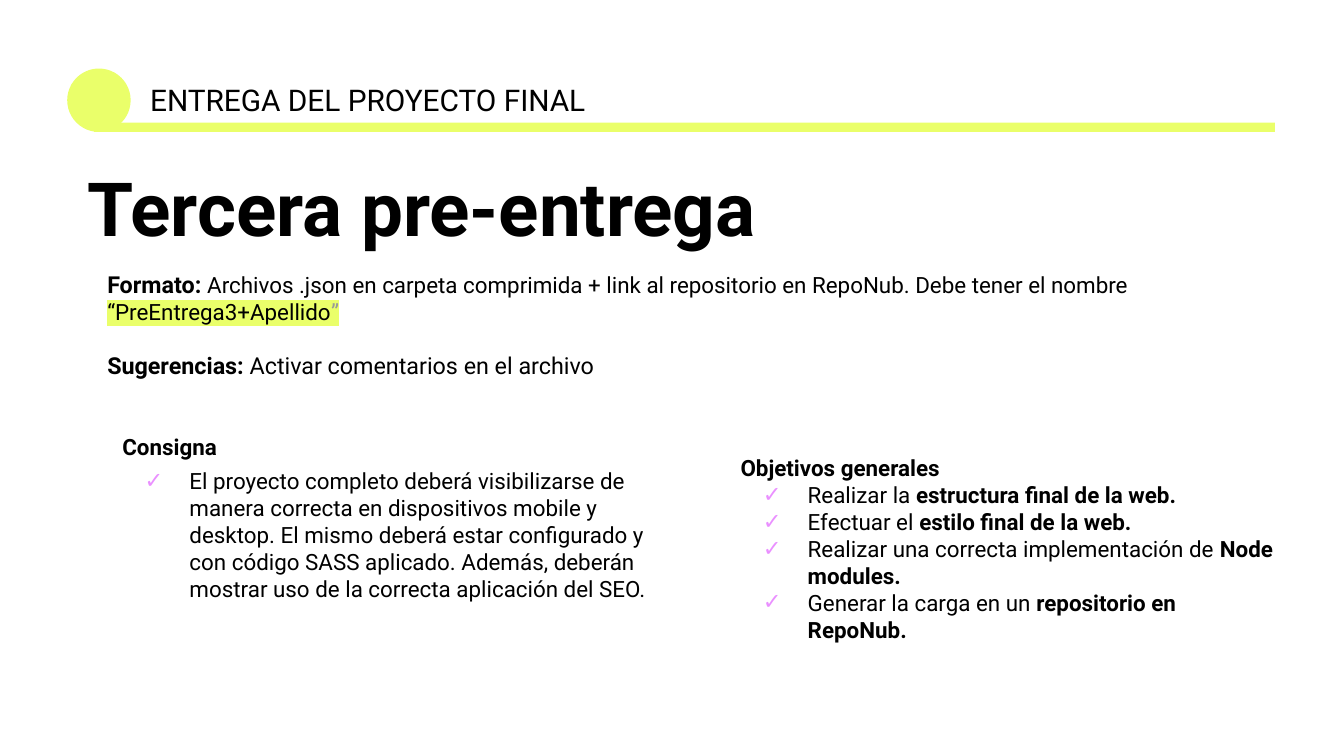
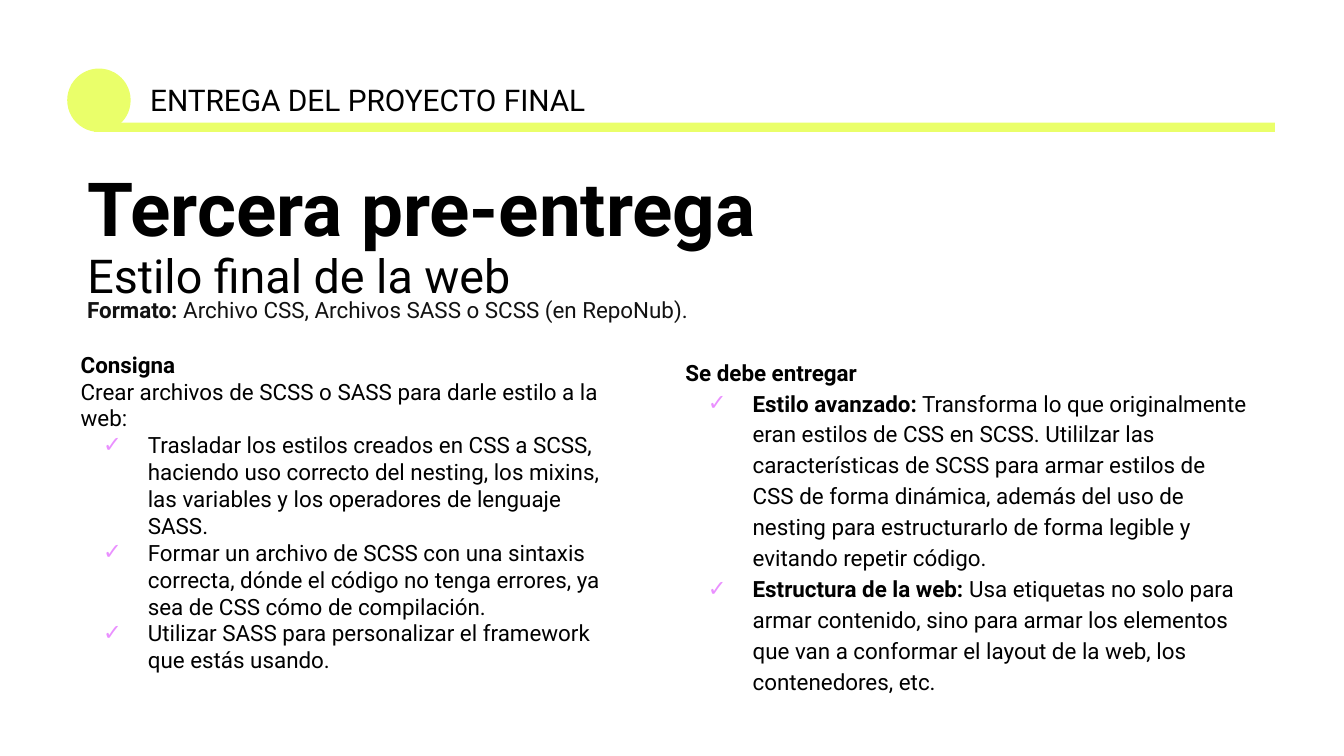
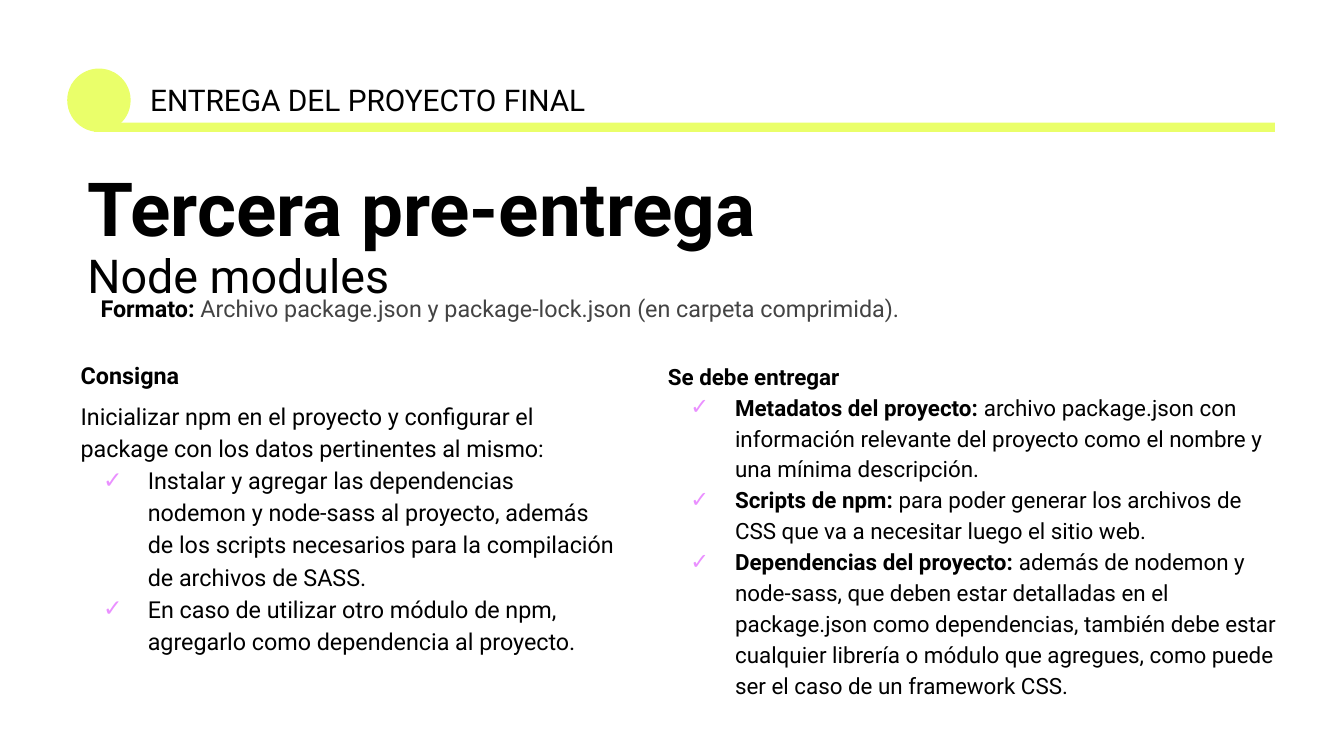
from dataclasses import dataclass
from typing import Optional

from lxml import etree
from pptx import Presentation
from pptx.dml.color import RGBColor
from pptx.enum import shapes, text
from pptx.oxml import ns
from pptx.util import Pt

LIME = RGBColor(0xEA, 0xFF, 0x6A)
PINK = RGBColor(0xEA, 0x90, 0xFF)
BLACK = RGBColor(0, 0, 0)
INK = RGBColor(0x12, 0x12, 0x12)
DARK_GRAY = RGBColor(0x43, 0x43, 0x43)
LIGHT_GRAY = RGBColor(0x99, 0x99, 0x99)

FONT = "Roboto"
INSET = Pt(7.2)
BULLET_INDENT = Pt(36)
BULLET_HANG = Pt(24)

DOT_TOP, DOT_SIZE = 36.7, 34
BAR_HEIGHT = 5
TWO_CONTENT_LAYOUT = 3
TITLE_TEXT = "Tercera pre-entrega"
HEADER_TEXT = "ENTREGA DEL PROYECTO FINAL"


@dataclass(frozen=True)
class Box:
    left: float
    top: float
    width: float
    height: float

    def lengths(self) -> tuple:
        return Pt(self.left), Pt(self.top), Pt(self.width), Pt(self.height)


@dataclass(frozen=True)
class Span:
    words: str
    bold: Optional[bool] = None
    size: Optional[float] = None
    color: Optional[RGBColor] = None
    highlight: Optional[RGBColor] = None


@dataclass(frozen=True)
class Line:
    spans: tuple[Span, ...]
    size: float = 12
    bold: bool = False
    color: RGBColor = BLACK
    bullet: bool = False
    spacing: float = 1
    before: float = 0


@dataclass(frozen=True)
class Block:
    box: Box
    lines: tuple[Line, ...]


@dataclass(frozen=True)
class Delivery:
    title_height: float
    subtitle: str
    details: Block
    left_list: Block
    right_list: Block


def plain(words: str, **style) -> Line:
    return Line((Span(words),), **style)


def heading(words: str, size: float = 12) -> Line:
    return plain(words, size=size, bold=True)


def check(words: str, **style) -> Line:
    return plain(words, bullet=True, **style)


def check_with_bold_end(start: str, end: str) -> Line:
    return Line((Span(start), Span(end, bold=True)), bullet=True)


def check_with_bold_start(start: str, end: str) -> Line:
    return Line((Span(start, bold=True), Span(end)), bullet=True, spacing=1.15)


def labelled(label: str, words: str, **style) -> Line:
    return Line((Span(label, bold=True), Span(words)), **style)


def add_element(parent, tag: str, **attributes: str):
    return etree.SubElement(parent, ns.qn(tag), attributes)


def set_bullet(paragraph, bullet: bool) -> None:
    properties = paragraph._p.get_or_add_pPr()
    properties.set("marL", str(BULLET_INDENT if bullet else 0))
    properties.set("indent", str(-BULLET_HANG if bullet else 0))
    if bullet:
        color = add_element(properties, "a:buClr")
        add_element(color, "a:srgbClr", val=str(PINK))
        add_element(properties, "a:buFont", typeface=FONT)
        add_element(properties, "a:buChar", char="✓")
    else:
        add_element(properties, "a:buNone")


def write_span(paragraph, span: Span) -> None:
    run = paragraph.add_run()
    run.text = span.words
    if span.bold is not None:
        run.font.bold = span.bold
    if span.size is not None:
        run.font.size = Pt(span.size)
    if span.color is not None:
        run.font.color.rgb = span.color
    if span.highlight is not None:
        highlight = add_element(run.font._element, "a:highlight")
        add_element(highlight, "a:srgbClr", val=str(span.highlight))


def write_lines(shape, box: Box, lines: tuple[Line, ...]) -> None:
    shape.left, shape.top, shape.width, shape.height = box.lengths()
    frame = shape.text_frame
    frame.word_wrap = True
    frame.auto_size = text.MSO_AUTO_SIZE.NONE
    frame.vertical_anchor = text.MSO_ANCHOR.TOP
    frame.margin_left = frame.margin_top = INSET
    frame.margin_right = frame.margin_bottom = INSET
    for index, line in enumerate(lines):
        paragraph = frame.add_paragraph() if index else frame.paragraphs[0]
        set_bullet(paragraph, line.bullet)
        paragraph.alignment = text.PP_ALIGN.LEFT
        paragraph.line_spacing = line.spacing
        paragraph.space_before = Pt(line.before)
        paragraph.font.name = FONT
        paragraph.font.size = Pt(line.size)
        paragraph.font.bold = line.bold
        paragraph.font.color.rgb = line.color
        for span in line.spans:
            write_span(paragraph, span)


def add_text(slide, block: Block) -> None:
    write_lines(slide.shapes.add_textbox(*block.box.lengths()), block.box, block.lines)


def add_lime_shape(slide, kind: shapes.MSO_SHAPE, box: Box) -> None:
    shape = slide.shapes.add_shape(kind, *box.lengths())
    shape.shadow.inherit = False
    shape.fill.solid()
    shape.fill.fore_color.rgb = LIME
    shape.line.fill.background()


def add_header(slide) -> None:
    bar_top = DOT_TOP + DOT_SIZE - BAR_HEIGHT
    add_lime_shape(slide, shapes.MSO_SHAPE.OVAL, Box(36, DOT_TOP, DOT_SIZE, DOT_SIZE))
    add_lime_shape(slide, shapes.MSO_SHAPE.RECTANGLE, Box(50.4, bar_top, 632.6, BAR_HEIGHT))
    add_text(slide, Block(Box(73.4, DOT_TOP, 252, DOT_SIZE), (plain(HEADER_TEXT, size=16),)))


def add_delivery(presentation, delivery: Delivery) -> None:
    slide = presentation.slides.add_slide(presentation.slide_layouts[TWO_CONTENT_LAYOUT])
    add_header(slide)
    title_lines = [plain(TITLE_TEXT, size=40, bold=True, spacing=0.9)]
    if delivery.subtitle:
        title_lines.append(plain(delivery.subtitle, size=25, spacing=0.9))
    title_box = Box(39.6, 85, 575, delivery.title_height)
    write_lines(slide.shapes.title, title_box, tuple(title_lines))
    for index, block in enumerate((delivery.left_list, delivery.right_list), start=1):
        write_lines(slide.placeholders[index], block.box, block.lines)
    add_text(slide, delivery.details)


DELIVERIES = (
    Delivery(
        title_height=58,
        subtitle="",
        details=Block(Box(50.4, 137.5, 620, 74), (
            Line((
                Span("Formato: ", bold=True, size=12.5),
                Span("Archivos .json en carpeta comprimida + link al repositorio en RepoNub. "
                     "Debe tener el nombre "),
                Span("“PreEntrega3+Apellido", highlight=LIME),
                Span("”", color=LIGHT_GRAY, highlight=LIME),
            )),
            labelled("Sugerencias: ", "Activar comentarios en el archivo", size=12.5, before=14),
        )),
        left_list=Block(Box(58.3, 224.6, 301.7, 153), (
            heading("Consigna"),
            check("El proyecto completo deberá visibilizarse de manera correcta en dispositivos "
                  "mobile y desktop. El mismo deberá estar configurado y con código SASS aplicado. "
                  "Además, deberán mostrar uso de la correcta aplicación del SEO.", before=4.2),
        )),
        right_list=Block(Box(389.5, 236.2, 301.7, 132), (
            heading("Objetivos generales"),
            check_with_bold_end("Realizar la ", "estructura final de la web."),
            check_with_bold_end("Efectuar el ", "estilo final de la web."),
            check_with_bold_end("Realizar una correcta implementación de ", "Node modules."),
            check_with_bold_end("Generar la carga en un ", "repositorio en RepoNub."),
        )),
    ),
    Delivery(
        title_height=86,
        subtitle="Estilo final de la web",
        details=Block(Box(39.6, 151.2, 368, 29), (
            labelled("Formato: ", "Archivo CSS, Archivos SASS o SCSS (en RepoNub).", color=INK),
        )),
        left_list=Block(Box(36, 180.7, 301.7, 189), (
            heading("Consigna"),
            plain("Crear archivos de SCSS o SASS para darle estilo a la web:"),
            check("Trasladar los estilos creados en CSS a SCSS, haciendo uso correcto del nesting, "
                  "los mixins, las variables y los operadores de lenguaje SASS."),
            check("Formar un archivo de SCSS con una sintaxis correcta, dónde el código no tenga "
                  "errores, ya sea de CSS cómo de compilación."),
            check("Utilizar SASS para personalizar el framework que estás usando."),
        )),
        right_list=Block(Box(360, 185, 316.8, 194), (
            heading("Se debe entregar"),
            check_with_bold_start(
                "Estilo avanzado:",
                " Transforma lo que originalmente eran estilos de CSS en SCSS. Utililzar las "
                "características de SCSS para armar estilos de CSS de forma dinámica, además del "
                "uso de nesting para estructurarlo de forma legible y evitando repetir código."),
            check_with_bold_start(
                "Estructura de la web:",
                " Usa etiquetas no solo para armar contenido, sino para armar los elementos que "
                "van a conformar el layout de la web, los contenedores, etc."),
        )),
    ),
    Delivery(
        title_height=86,
        subtitle="Node modules",
        details=Block(Box(46.8, 150.5, 524, 29.5), (
            Line((
                Span("Formato: ", bold=True),
                Span("Archivo package.json y package-lock.json (en carpeta comprimida).",
                     color=DARK_GRAY),
            ), size=12.5),
        )),
        left_list=Block(Box(36, 186.5, 301.7, 171), (
            heading("Consigna", size=12.5),
            plain("Inicializar npm en el proyecto y configurar el package con los datos "
                  "pertinentes al mismo:", size=12.5, spacing=1.15, before=4.4),
            check("Instalar y agregar las dependencias nodemon y node-sass al proyecto, además "
                  "de los scripts necesarios para la compilación de archivos de SASS.",
                  size=12.5, spacing=1.15),
            check("En caso de utilizar otro módulo de npm, agregarlo como dependencia al "
                  "proyecto.", size=12.5, spacing=1.15),
        )),
        right_list=Block(Box(350.6, 187.2, 347, 212), (
            heading("Se debe entregar"),
            check_with_bold_start(
                "Metadatos del proyecto:",
                " archivo package.json con información relevante del proyecto como el nombre y "
                "una mínima descripción."),
            check_with_bold_start(
                "Scripts de npm:",
                " para poder generar los archivos de CSS que va a necesitar luego el sitio web."),
            check_with_bold_start(
                "Dependencias del proyecto:",
                " además de nodemon y node-sass, que deben estar detalladas en el package.json "
                "como dependencias, también debe estar cualquier librería o módulo que agregues, "
                "como puede ser el caso de un framework CSS."),
        )),
    ),
)


def main() -> None:
    presentation = Presentation()
    presentation.slide_width, presentation.slide_height = Pt(720), Pt(405)
    for delivery in DELIVERIES:
        add_delivery(presentation, delivery)
    presentation.save("out.pptx")


if __name__ == "__main__":
    main()
